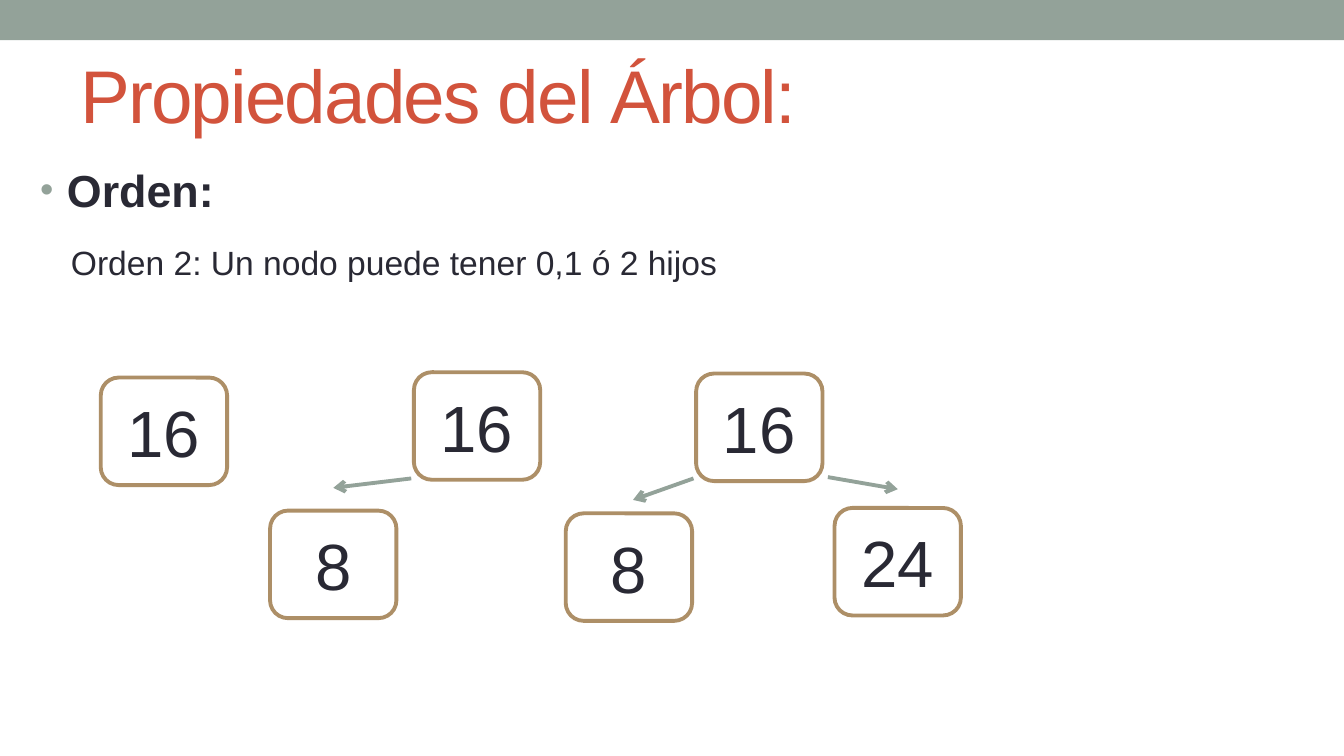
"""Build the slide on the order of a tree, with three small node diagrams."""
from lxml.etree import SubElement
from pptx import Presentation
from pptx.dml.color import RGBColor
from pptx.enum.shapes import MSO_CONNECTOR, MSO_SHAPE
from pptx.enum.text import MSO_ANCHOR, PP_ALIGN
from pptx.oxml.ns import qn
from pptx.util import Inches, Pt

WIDTH = 10
HEIGHT = WIDTH * 9 / 16
SAGE, RUST, INK, TAN, WHITE = "93A299", "D2533C", "292934", "AD8F67", "FFFFFF"
BAR = (0, 0, WIDTH, 0.3)
TEXTS = {
    "title": ("Propiedades del Árbol:", (0.5, 0.29, 9, 0.81), {"size": Pt(40)}, RUST),
    "head": ("Orden:", (0.2, 1.16, 3.07, 0.55), {"size": Pt(24), "bold": True}, INK),
    "note": ("Orden 2: Un nodo puede tener 0,1 ó 2 hijos", (0.43, 1.75, 7.4, 0.4),
             {"size": Pt(18)}, INK),
}
NODES = [
    ("16", 0.75, 2.81),
    ("16", 3.08, 2.77), ("8", 2.01, 3.8),
    ("16", 5.18, 2.78), ("8", 4.21, 3.82), ("24", 6.21, 3.78),
]
NODE_SIZE = (0.94, 0.8)
LINKS = [
    (3.06, 3.56, 2.48, 3.63),
    (5.16, 3.56, 4.71, 3.72),
    (6.16, 3.55, 6.68, 3.64),
]


def color(code):
    return RGBColor.from_string(code)


def inches(nums):
    return [Inches(num) for num in nums]


def write(shape, words, form, code):
    frame = shape.text_frame
    frame.word_wrap = True
    para = frame.paragraphs[0]
    run = para.add_run()
    run.text = words
    for key, value in {"name": "Arial", **form}.items():
        setattr(run.font, key, value)
    run.font.color.rgb = color(code)
    return frame, para, run


def add_shape(slide, kind, box, fill, line=None):
    shape = slide.shapes.add_shape(kind, *inches(box))
    shape.shadow.inherit = False
    shape.fill.solid()
    shape.fill.fore_color.rgb = color(fill)
    if line:
        shape.line.color.rgb = color(line)
        shape.line.width = Pt(2.08)
    else:
        shape.line.fill.background()
    return shape


def add_text(slide, name):
    words, box, form, code = TEXTS[name]
    return write(slide.shapes.add_textbox(*inches(box)), words, form, code)


def add_bullet(para):
    props = para._p.get_or_add_pPr()
    props.set("marL", str(Inches(0.2)))
    props.set("indent", str(Inches(-0.2)))
    tint = SubElement(props, qn("a:buClr"))
    SubElement(tint, qn("a:srgbClr"), val=SAGE)
    SubElement(props, qn("a:buSzPct"), val="85000")
    SubElement(props, qn("a:buFont"), typeface="Arial")
    SubElement(props, qn("a:buChar"), char="•")


def add_node(slide, words, left, top):
    box = (left, top, *NODE_SIZE)
    shape = add_shape(slide, MSO_SHAPE.ROUNDED_RECTANGLE, box, WHITE, TAN)
    frame, para, _ = write(shape, words, {"size": Pt(35)}, INK)
    frame.vertical_anchor = MSO_ANCHOR.MIDDLE
    para.alignment = PP_ALIGN.CENTER


def add_link(slide, ends):
    link = slide.shapes.add_connector(MSO_CONNECTOR.STRAIGHT, *inches(ends))
    link.line.color.rgb = color(SAGE)
    link.line.width = Pt(2.08)
    SubElement(link.line._get_or_add_ln(), qn("a:tailEnd"), type="arrow")
    SubElement(link._element.spPr, qn("a:effectLst"))


def main():
    deck = Presentation()
    deck.slide_width, deck.slide_height = inches((WIDTH, HEIGHT))
    slide = deck.slides.add_slide(deck.slide_layouts[6])
    add_shape(slide, MSO_SHAPE.RECTANGLE, BAR, SAGE)
    frame, _, run = add_text(slide, "title")
    frame.vertical_anchor = MSO_ANCHOR.MIDDLE
    run._r.get_or_add_rPr().set("spc", "-100")
    _, para, _ = add_text(slide, "head")
    add_bullet(para)
    add_text(slide, "note")
    for node in NODES:
        add_node(slide, *node)
    for ends in LINKS:
        add_link(slide, ends)
    deck.save("out.pptx")


if __name__ == "__main__":
    main()
